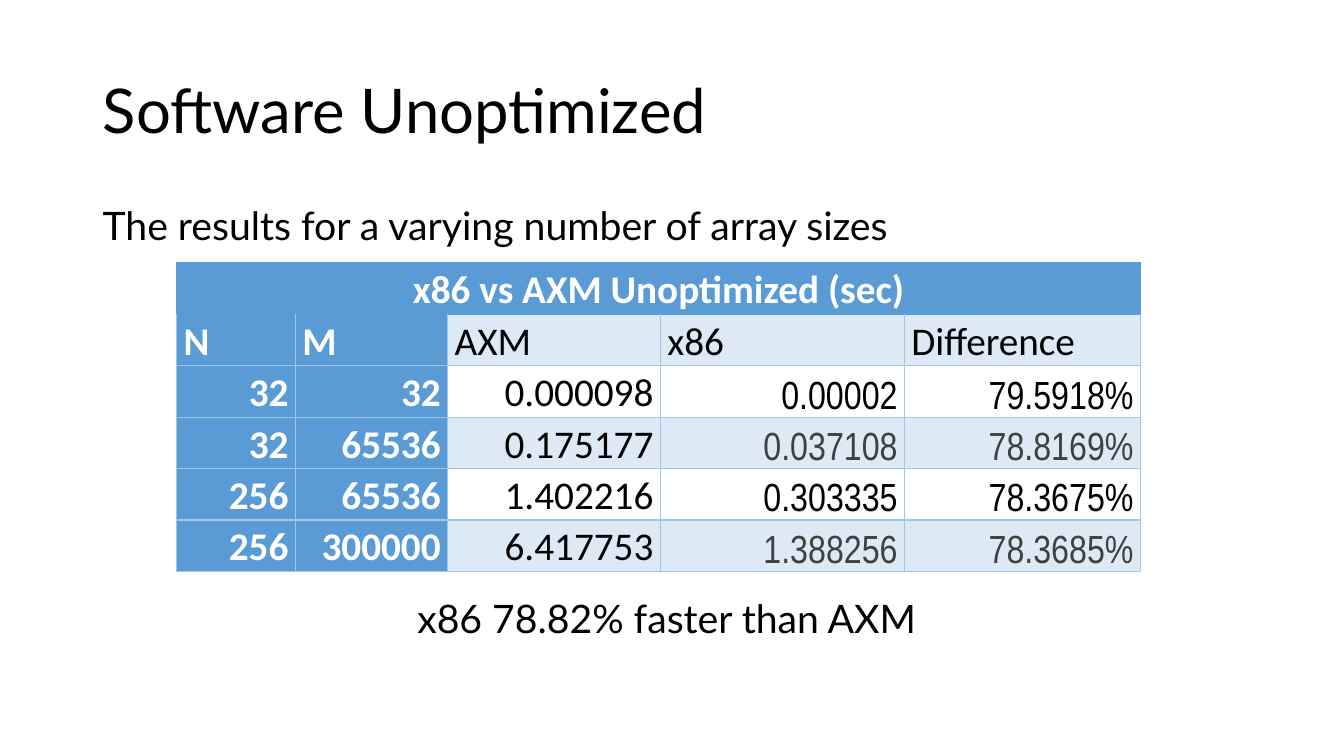
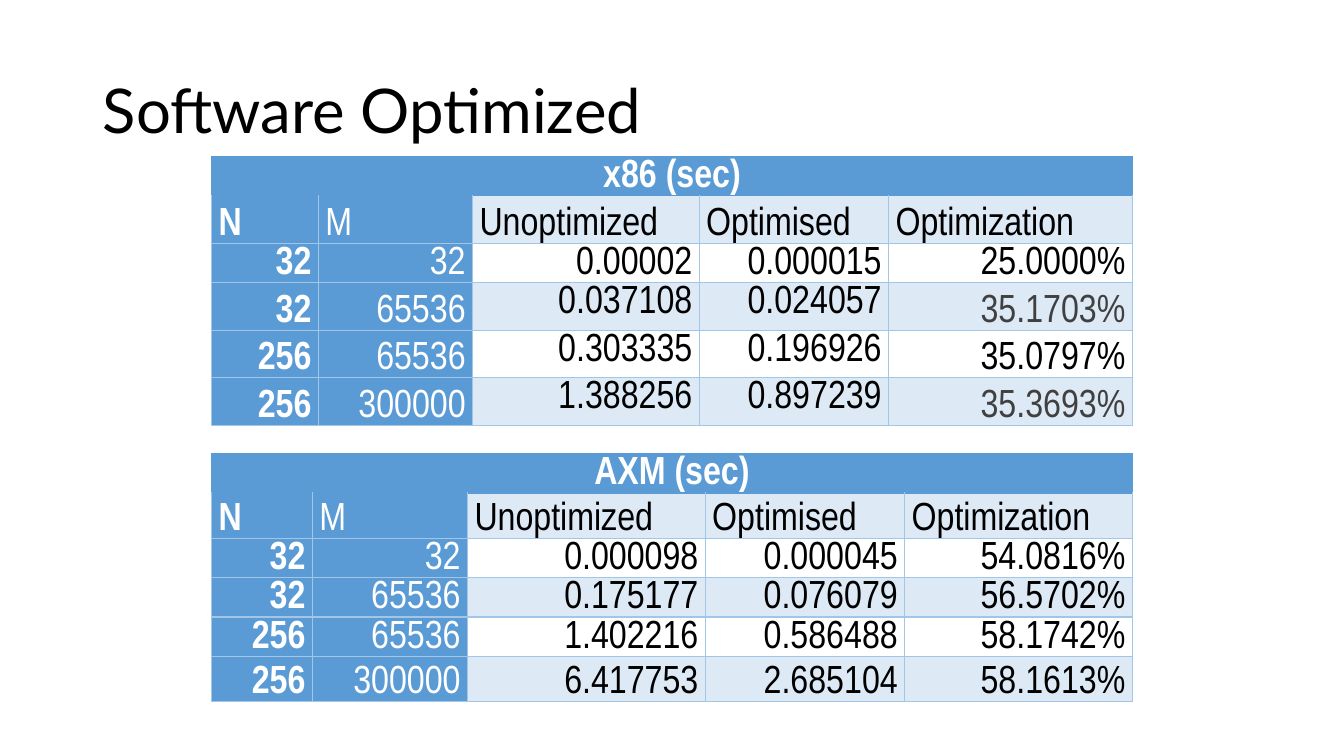
from lxml.etree import SubElement
from pptx import Presentation
from pptx.dml.color import RGBColor
from pptx.enum.text import MSO_ANCHOR, MSO_AUTO_SIZE, PP_ALIGN
from pptx.oxml.ns import qn
from pptx.util import Inches, Pt

WIDE, HIGH = Inches(13.33), Inches(7.5)
HUES = {"blue": "5B9BD5", "pale": "DDEAF6", "line": "A2C6E7",
        "white": "FFFFFF", "black": "000000", "grey": "404040"}
MAIN, PLAIN, SLIM = "Lato", "Calibri", "Arial Narrow"
LEFT, MID, RIGHT = PP_ALIGN.LEFT, PP_ALIGN.CENTER, PP_ALIGN.RIGHT

# Formats shared by all slides
TEXT = {"line_spacing": 0.9, "space_before": Pt(0)}
ENTRY = {"line_spacing": 1.07, "space_after": Pt(8)}
CELL = {"margin_left": Inches(0.07), "margin_right": Inches(0.07),
        "margin_top": 0, "margin_bottom": 0}
FLAGS = {"first_row": False, "horz_banding": False}

SIZES = [("32", "32"), ("32", "65536"), ("256", "65536"), ("256", "300000")]
X86 = ["0.00002", "0.037108", "0.303335", "1.388256"]
AXM = ["0.000098", "0.175177", "1.402216", "6.417753"]
GAIN = ["Unoptimized", "Optimised", "Optimization"]


def put(item, form):
    for name, value in form.items():
        setattr(item, name, value)


def place(left, top, width, height):
    """Turn percentages of the slide into lengths."""
    return [round(side * share / 100) for side, share
            in zip((WIDE, HIGH, WIDE, HIGH), (left, top, width, height))]


def write(frame, text, form, font, size=28, hue="black", bold=False):
    line = frame.paragraphs[0]
    put(line, form)
    run = line.add_run()
    run.text = text
    put(run.font, {"name": font, "size": Pt(size), "bold": bold})
    run.font.color.rgb = RGBColor.from_string(HUES[hue])


def start(deck, title):
    slide = deck.slides.add_slide(deck.slide_layouts[5])
    head = slide.shapes.title
    put(head, dict(zip(("left", "top", "width", "height"),
                       place(6.9, 5.33, 86.25, 19.33))))
    put(head.text_frame, {"auto_size": MSO_AUTO_SIZE.NONE, "word_wrap": True,
                          "vertical_anchor": MSO_ANCHOR.MIDDLE})
    write(head.text_frame, title, TEXT | {"alignment": LEFT}, MAIN, 44)
    return slide


def note(slide, text, box, align):
    frame = slide.shapes.add_textbox(*place(*box)).text_frame
    frame.word_wrap = True
    write(frame, text, TEXT | {"alignment": align}, MAIN)


def edge(cell, row):
    props = cell._tc.get_or_add_tcPr()
    for side in "LRTB":
        dark = row == 0 or (row == 1 and side == "T")
        line = SubElement(props, qn("a:ln" + side), w=str(Pt(1)))
        fill = SubElement(line, qn("a:solidFill"))
        SubElement(fill, qn("a:srgbClr"), val=HUES["blue" if dark else "line"])


def table(slide, box, cols, rows, title, heads, data, bold=(0,), grey=(),
          high=(), font=SLIM, slim=()):
    """Options list the columns that are bold, grey, top-set or narrow."""
    left, top, width, height = place(*box, sum(rows))
    grid = slide.shapes.add_table(len(rows), len(cols), left, top,
                                  width, height).table
    put(grid, FLAGS)
    for col, share in zip(grid.columns, cols):
        col.width = round(width * share / sum(cols))
    for row, share in zip(grid.rows, rows):
        row.height = round(HIGH * share / 100)

    # Title row spans all columns
    grid.cell(0, 0).merge(grid.cell(0, len(cols) - 1))
    body = [size + tuple(vals) for size, vals in zip(SIZES, zip(*data))]
    for r, texts in enumerate([[title] + [""] * 4, ["Ν", "Μ"] + heads] + body):
        for c, text in enumerate(texts):
            cell = grid.cell(r, c)
            key, band, value = r == 0 or c < 2, r % 2 == 1, r > 1
            edge(cell, r)
            cell.fill.solid()
            fill = "blue" if key else "pale" if band else "white"
            cell.fill.fore_color.rgb = RGBColor.from_string(HUES[fill])
            lift = value and c in high
            put(cell, CELL | {"vertical_anchor": MSO_ANCHOR.TOP if lift
                              else MSO_ANCHOR.BOTTOM})
            if text:
                align = MID if r == 0 else RIGHT if value else LEFT
                dim = value and band and c in grey
                write(cell.text_frame, text, ENTRY | {"alignment": align},
                      SLIM if value and c in slim else font,
                      hue="white" if key else "grey" if dim else "black",
                      bold=r == 0 or c in bold)


def main():
    deck = Presentation()
    put(deck, {"slide_width": WIDE, "slide_height": HIGH})

    # Times without tuning
    slide = start(deck, "Software Unoptimized")
    note(slide, "The results for a varying number of array sizes",
         (6.9, 26.67, 86.25, 7), LEFT)
    table(slide, (13.13, 34.8, 71.72), [1.18, 1.51, 2.11, 2.42, 2.34],
          [6.8] * 6, "x86 vs AXM Unoptimized (sec)",
          ["AXM", "x86", "Difference"],
          [AXM, X86, ["79.5918%", "78.8169%", "78.3675%", "78.3685%"]],
          bold=(0, 1), grey=(3, 4), font=PLAIN, slim=(3, 4))
    note(slide, "x86 78.82% faster than AXM", (6.9, 78.7, 85.4, 7), MID)

    # Gain from tuning on each chip
    slide = start(deck, "Software Optimized")
    table(slide, (15.75, 20.67, 68.5), [1.06, 1.53, 2.25, 1.88, 2.42],
          [5.2, 6.3, 5.2, 6.3, 6.3, 6.3], "x86 (sec)", GAIN,
          [X86, ["0.000015", "0.024057", "0.196926", "0.897239"],
           ["25.0000%", "35.1703%", "35.0797%", "35.3693%"]],
          grey=(4,), high=(2, 3))
    table(slide, (15.75, 60, 68.5), [1, 1.54, 2.36, 1.98, 2.26],
          [5.2, 6, 5.2, 5.2, 5.2, 6], "AXM (sec)", GAIN,
          [AXM, ["0.000045", "0.076079", "0.586488", "2.685104"],
           ["54.0816%", "56.5702%", "58.1742%", "58.1613%"]])
    deck.save("out.pptx")


if __name__ == "__main__":
    main()
